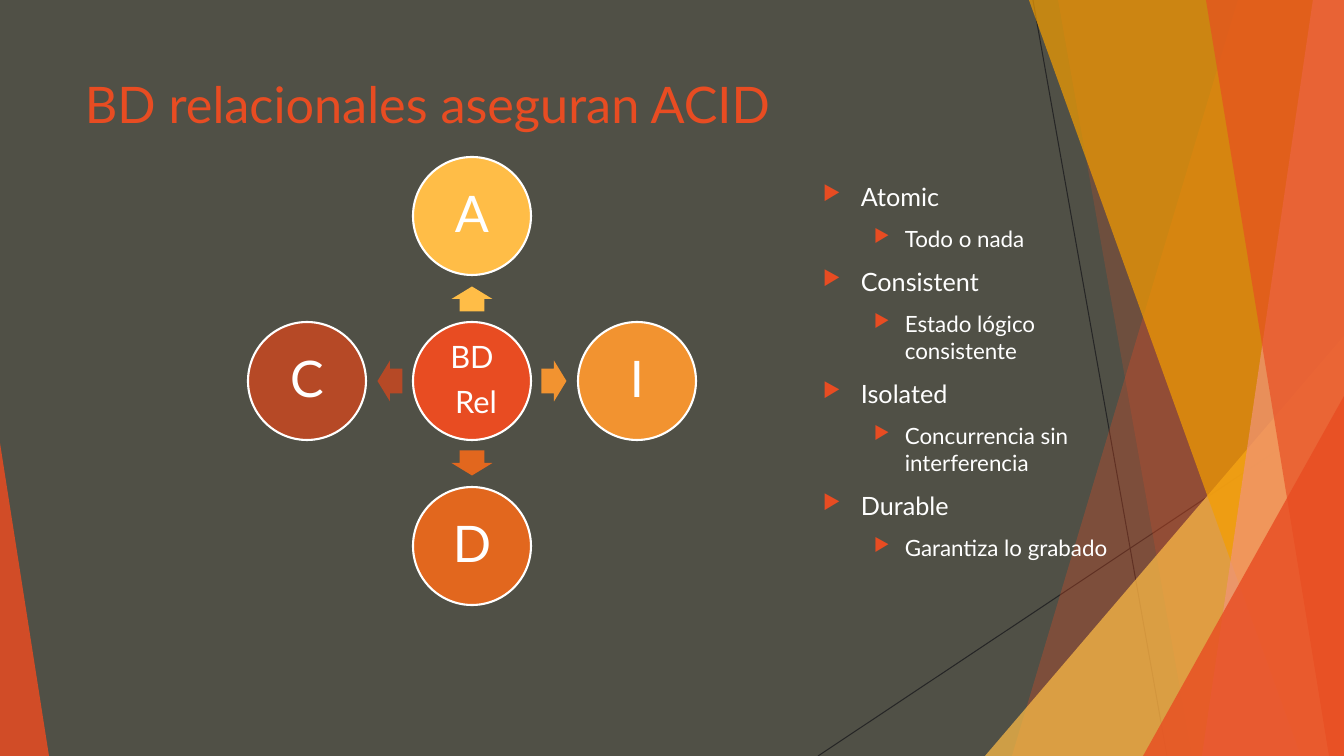
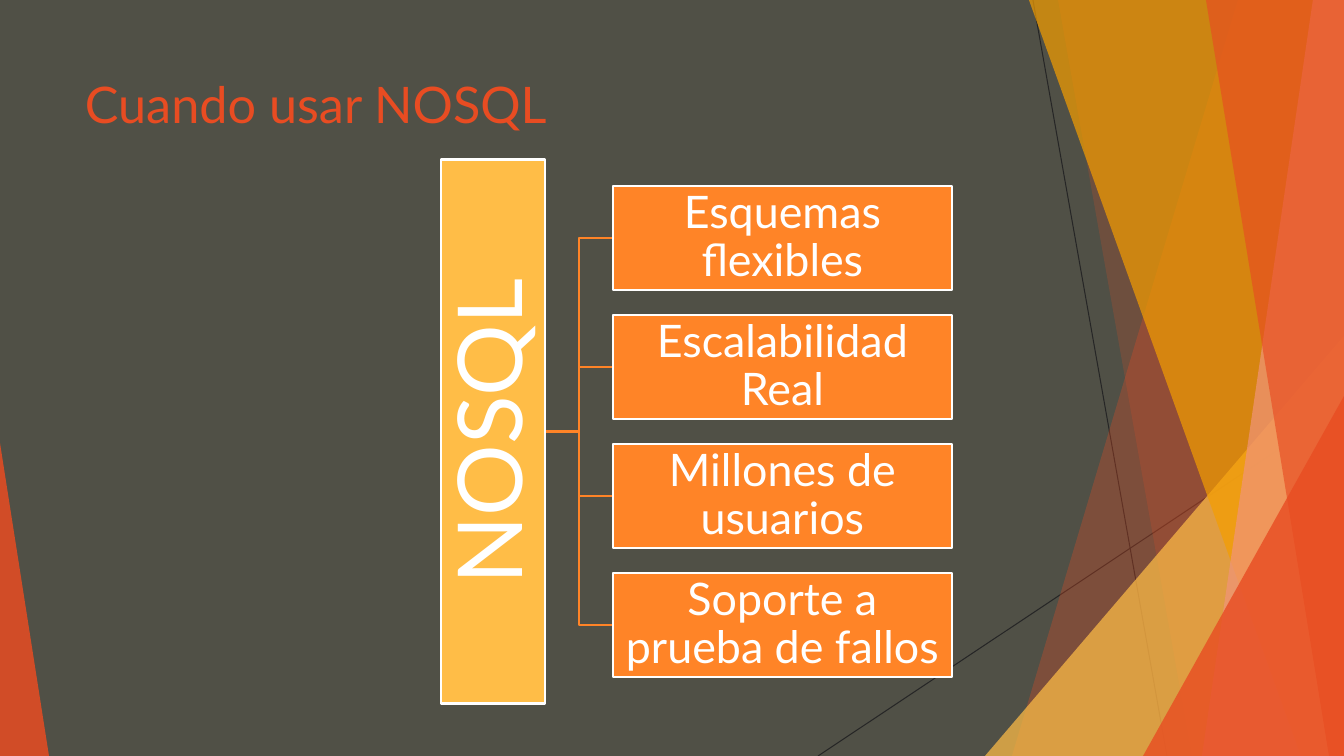
import pptx
from lxml import etree
from pptx.dml.color import RGBColor
from pptx.enum.shapes import MSO_CONNECTOR, MSO_SHAPE
from pptx.enum.text import MSO_ANCHOR, PP_ALIGN
from pptx.oxml.ns import qn
from pptx.util import Pt

PX = 914400 / 100.8
WIDE, HIGH = 1344, 756
FONT = "Lato"

WHITE = RGBColor(0xFF, 0xFF, 0xFF)
GRAY = RGBColor(0x50, 0x50, 0x46)
DARK = RGBColor(0x26, 0x26, 0x26)
RED = RGBColor(0xE8, 0x4C, 0x22)
GOLD = RGBColor(0xFF, 0xBD, 0x47)
AMBER = RGBColor(0xF4, 0x9D, 0x00)
PINK = RGBColor(0xF1, 0x94, 0x7A)
BRIGHT = RGBColor(0xFF, 0x84, 0x27)
LIGHT = RGBColor(0xF2, 0x93, 0x30)
DEEP = RGBColor(0xE2, 0x67, 0x1E)
RUST = RGBColor(0xB6, 0x49, 0x26)

# Decoration, back to front
RAYS = [(1033, 0, 1167, 756), (1344, 406, 818, 756)]
# Bands reach the right edge: top x, bottom x
# Wedges: left, top, width, height, place of the tip
FACETS = [
    ("band", (1238, 1012), RED, 30),
    ("band", (1058, 1192), RED, 20),
    ("wedge", (985, 336, 359, 420, 1), GOLD, 72),
    ("band", (1029, 1301), AMBER, 70),
    ("band", (1313, 1202), PINK, 70),
    ("band", (1206, 1329), RED, 65),
    ("wedge", (1143, 396, 201, 360, 1), RED, 80),
    ("wedge", (0, 443, 49, 313, 0), RED, 85),
]

ACID = "BD relacionales aseguran ACID"
POINTS = [
    ("Atomic", "Todo o nada"),
    ("Consistent", "Estado lógico consistente"),
    ("Isolated", "Concurrencia sin interferencia"),
    ("Durable", "Garantiza lo grabado"),
]
# Size, left margin, hanging indent of each bullet level
LEVELS = [(18, 38, 38), (16, 82, 31)]
HUB = "BD\n Rel"
# Letter, direction x, direction y, arrow turn, colour
SPOKES = [
    ("A", 0, -1, 270, GOLD),
    ("I", 1, 0, 0, LIGHT),
    ("D", 0, 1, 90, DEEP),
    ("C", -1, 0, 180, RUST),
]

USES = "Cuando usar NOSQL"
ROOT = "NOSQL"
LEAVES = ["Esquemas flexibles", "Escalabilidad Real",
          "Millones de usuarios", "Soporte a prueba de fallos"]


def emu(*vals):
    return [round(v * PX) for v in vals]


def style(par, size, color):
    for run in par.runs:
        run.font.size = Pt(size)
        run.font.name = FONT
        run.font.color.rgb = color


def paint(shape, color, edge=None, alpha=100):
    shape.shadow.inherit = False
    shape.fill.solid()
    shape.fill.fore_color.rgb = color
    if alpha < 100:
        tint = shape.element.spPr.find(qn("a:solidFill")).find(qn("a:srgbClr"))
        etree.SubElement(tint, qn("a:alpha"), val=str(alpha * 1000))
    if edge is None:
        shape.line.fill.background()
    else:
        shape.line.color.rgb = edge
        shape.line.width = Pt(1.5)


def link(slide, kind, ends, color, width):
    line = slide.shapes.add_connector(kind, *emu(*ends))
    line.line.color.rgb = color
    line.line.width = Pt(width)
    etree.SubElement(line.element.spPr, qn("a:effectLst"))


def node(slide, kind, box, color, text, size, pad):
    """Add a white-edged shape with centred text."""
    shape = slide.shapes.add_shape(kind, *emu(*box))
    paint(shape, color, WHITE)
    frame = shape.text_frame
    frame.text = text
    frame.word_wrap = True
    frame.vertical_anchor = MSO_ANCHOR.MIDDLE
    inset = emu(pad)[0]
    frame.margin_left = frame.margin_right = inset
    frame.margin_top = frame.margin_bottom = inset
    for i, par in enumerate(frame.paragraphs):
        par.alignment = PP_ALIGN.CENTER
        par.line_spacing = 0.9
        if i:
            par.space_before = Pt(8)
        style(par, size, WHITE)
    return shape


def facet(slide, kind, spec, color, alpha):
    if kind == "band":
        top, low = spec
        form = slide.shapes.build_freeform(top, 0, scale=PX)
        form.add_line_segments([(WIDE, 0), (WIDE, HIGH), (low, HIGH)])
        shape = form.convert_to_shape()
    else:
        *box, tip = spec
        shape = slide.shapes.add_shape(MSO_SHAPE.ISOSCELES_TRIANGLE, *emu(*box))
        shape.adjustments[0] = tip
    paint(shape, color, alpha=alpha)


def start(prs, title):
    """Add a slide with the shared decoration and title."""
    slide = prs.slides.add_slide(prs.slide_layouts[6])
    for ray in RAYS:
        link(slide, MSO_CONNECTOR.STRAIGHT, ray, DARK, 0.75)
    for item in FACETS:
        facet(slide, *item)
    frame = slide.shapes.add_textbox(*emu(75, 68, 948, 145)).text_frame
    frame.word_wrap = True
    frame.text = title
    style(frame.paragraphs[0], 36, RED)
    return slide


def bullet(par, level):
    size, left, hang = LEVELS[level]
    par.level = level
    par.space_before = Pt(10)
    style(par, size, WHITE)
    props = par._p.get_or_add_pPr()
    left, hang = emu(left, hang)
    props.set("marL", str(left))
    props.set("indent", str(-hang))
    tint = etree.SubElement(props, qn("a:buClr"))
    etree.SubElement(tint, qn("a:srgbClr"), val=str(RED))
    etree.SubElement(props, qn("a:buSzPct"), val="80000")
    etree.SubElement(props, qn("a:buChar"), char="▶")


def acid(prs):
    slide = start(prs, ACID)
    frame = slide.shapes.add_textbox(*emu(813, 176, 312, 499)).text_frame
    frame.word_wrap = True
    frame.text = "\n".join(text for pair in POINTS for text in pair)
    for i, par in enumerate(frame.paragraphs):
        bullet(par, i % 2)

    midx, midy, size, step = 472, 381, 118, 165
    wide, high, reach = 25, 41, 82

    def disc(x, y, color, text, pts, pad):
        box = (x - size / 2, y - size / 2, size, size)
        node(slide, MSO_SHAPE.OVAL, box, color, text, pts, pad)

    disc(midx, midy, RED, HUB, 22, 3)
    for text, dx, dy, turn, color in SPOKES:
        box = (midx + dx * reach - wide / 2, midy + dy * reach - high / 2,
               wide, high)
        arrow = slide.shapes.add_shape(MSO_SHAPE.RIGHT_ARROW, *emu(*box))
        arrow.adjustments[0] = 0.6
        arrow.adjustments[1] = 0.5
        arrow.rotation = turn
        paint(arrow, color)
        disc(midx + dx * step, midy + dy * step, color, text, 36, 5)


def uses(prs):
    slide = start(prs, USES)
    left, top, wide, high, pitch = 613, 186, 339, 104, 129
    span, edge = 544, 545
    mid = top + (pitch * (len(LEAVES) - 1) + high) / 2
    rows = [top + pitch * i for i in range(len(LEAVES))]
    for y in rows:
        ends = (edge, mid, left, y + high / 2)
        link(slide, MSO_CONNECTOR.ELBOW, ends, BRIGHT, 1.5)
    box = (edge - high / 2 - span / 2, mid - high / 2, span, high)
    root = node(slide, MSO_SHAPE.RECTANGLE, box, GOLD, ROOT, 64, 4)
    root.rotation = 270
    for y, text in zip(rows, LEAVES):
        box = (left, y, wide, high)
        node(slide, MSO_SHAPE.RECTANGLE, box, BRIGHT, text, 32, 2)


def main():
    prs = pptx.Presentation()
    prs.slide_width, prs.slide_height = emu(WIDE, HIGH)
    back = prs.slide_master.background.fill
    back.solid()
    back.fore_color.rgb = GRAY
    acid(prs)
    uses(prs)
    prs.save("out.pptx")


if __name__ == "__main__":
    main()
